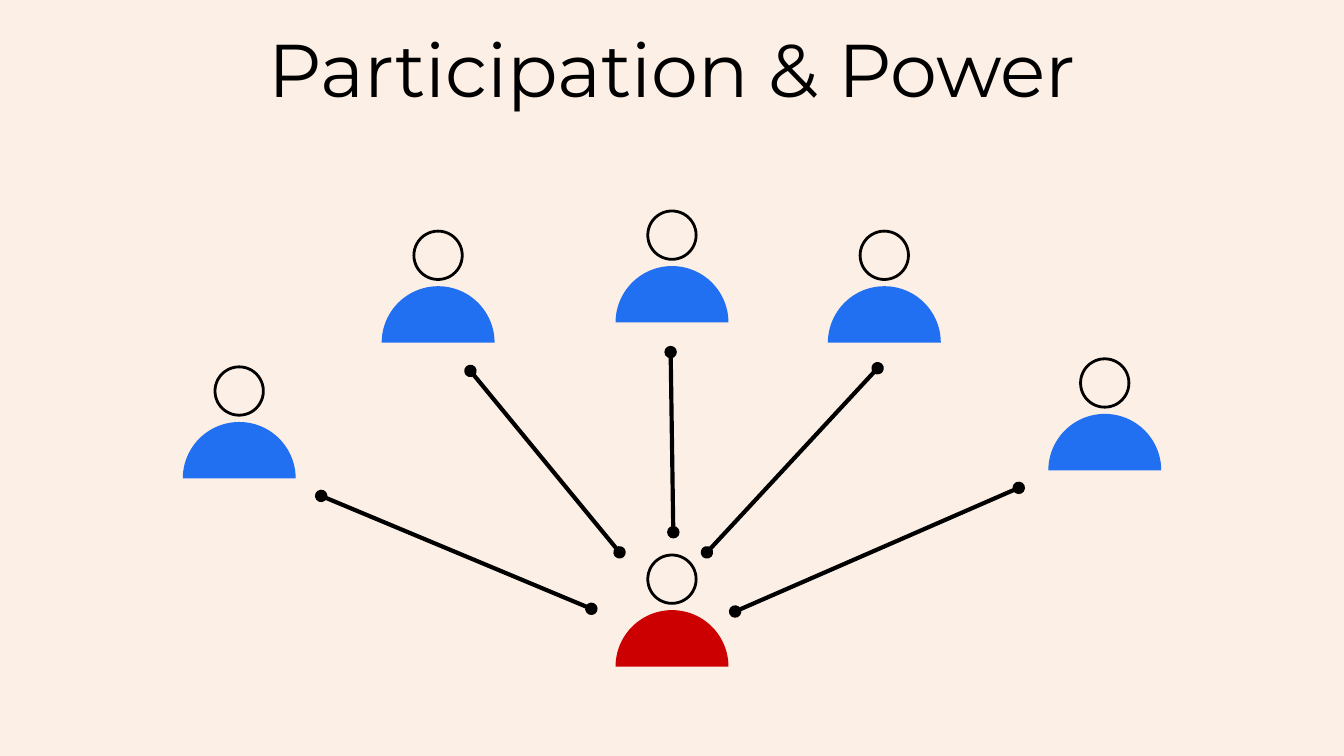
from typing import NamedTuple

from lxml import etree
from pptx import Presentation
from pptx import util as u
from pptx.dml.color import RGBColor
from pptx.enum import shapes, text
from pptx.oxml import ns

CREAM = RGBColor(0xFC, 0xEF, 0xE5)
BLACK = RGBColor(0, 0, 0)
BLUE = RGBColor(0x21, 0x70, 0xF2)
RED = RGBColor(0xCC, 0, 0)

WIDTH = 10
HEIGHT = WIDTH * 9 / 16
BODY = 0.84
HEAD = 0.36
RISE = 0.41


class Person(NamedTuple):
    left: float
    top: float
    color: RGBColor = BLUE


class Link(NamedTuple):
    x1: float
    y1: float
    x2: float
    y2: float


PEOPLE = [
    Person(4.58, 4.54, RED),
    Person(1.36, 3.14),
    Person(2.84, 2.13),
    Person(4.58, 1.98),
    Person(6.16, 2.13),
    Person(7.8, 3.08),
]
LINKS = [
    Link(2.39, 3.69, 4.4, 4.53),
    Link(3.5, 2.76, 4.61, 4.11),
    Link(4.99, 2.62, 5.01, 3.96),
    Link(5.26, 4.11, 6.53, 2.74),
    Link(5.47, 4.55, 7.58, 3.63),
]


def apply(item, values: dict) -> None:
    for name, value in values.items():
        setattr(item, name, value)


def add_round(group, kind, left: float, top: float, size: float):
    shape = group.shapes.add_shape(
        kind, u.Inches(left), u.Inches(top), u.Inches(size), u.Inches(size)
    )
    shape.shadow.inherit = False
    return shape


def draw_person(slide, person: Person) -> None:
    group = slide.shapes.add_group_shape()
    body = add_round(group, shapes.MSO_SHAPE.PIE, person.left, person.top, BODY)
    body.rotation = 90
    body.adjustments[0] = 54
    body.adjustments[1] = 162
    body.fill.solid()
    body.fill.fore_color.rgb = person.color
    body.line.fill.background()

    inset = (BODY - HEAD) / 2
    head = add_round(
        group, shapes.MSO_SHAPE.OVAL, person.left + inset, person.top - RISE, HEAD
    )
    head.fill.background()
    head.line.color.rgb = BLACK
    head.line.width = u.Pt(1.5)


def draw_link(slide, link: Link) -> None:
    line = slide.shapes.add_connector(
        shapes.MSO_CONNECTOR.STRAIGHT, *(u.Inches(value) for value in link)
    )
    line.line.color.rgb = BLACK
    line.line.width = u.Pt(2.25)
    stroke = line.line._get_or_add_ln()
    for end in ("a:headEnd", "a:tailEnd"):
        etree.SubElement(stroke, ns.qn(end), type="oval")
    etree.SubElement(line._element.spPr, ns.qn("a:effectLst"))


def draw_title(slide, words: str) -> None:
    box = slide.shapes.add_textbox(
        u.Inches(1.05), u.Inches(0.2), u.Inches(7.9), u.Inches(1.3)
    )
    frame = box.text_frame
    pad = u.Inches(0.1)
    apply(frame, {
        "word_wrap": True,
        "vertical_anchor": text.MSO_ANCHOR.TOP,
        "margin_left": pad,
        "margin_right": pad,
        "margin_top": pad,
        "margin_bottom": pad,
    })
    line = frame.paragraphs[0]
    apply(line, {"alignment": text.PP_ALIGN.CENTER, "line_spacing": 0.8})
    run = line.add_run()
    run.text = words
    apply(run.font, {"name": "Montserrat", "size": u.Pt(40)})
    run.font.color.rgb = BLACK


def main() -> None:
    deck = Presentation()
    apply(deck, {"slide_width": u.Inches(WIDTH), "slide_height": u.Inches(HEIGHT)})
    slide = deck.slides.add_slide(deck.slide_layouts[6])
    slide.background.fill.solid()
    slide.background.fill.fore_color.rgb = CREAM

    draw_title(slide, "Participation & Power")
    for person in PEOPLE:
        draw_person(slide, person)
    for link in LINKS:
        draw_link(slide, link)
    deck.save("out.pptx")


if __name__ == "__main__":
    main()
